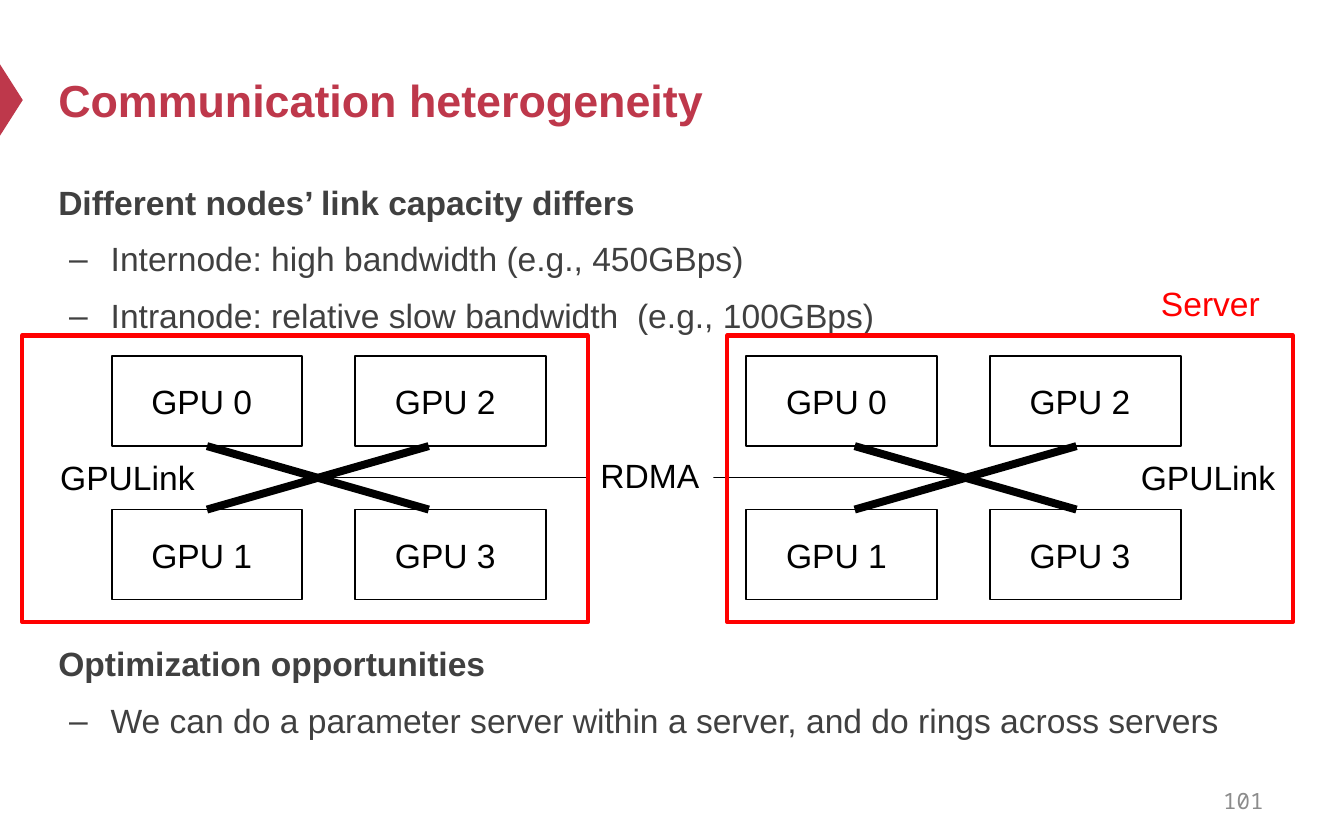
from lxml.etree import SubElement
from pptx import Presentation
from pptx.dml.color import RGBColor
from pptx.enum.shapes import MSO_CONNECTOR, MSO_SHAPE
from pptx.enum.text import MSO_ANCHOR, MSO_AUTO_SIZE, PP_ALIGN
from pptx.oxml.ns import qn
from pptx.util import Pt

RED = RGBColor(0xBE, 0x38, 0x4B)
FRAME_RED = RGBColor(0xFF, 0x00, 0x00)
DARK = RGBColor(0x40, 0x40, 0x40)
GRAY = RGBColor(0x8C, 0x8C, 0x8C)
BLACK = RGBColor(0x00, 0x00, 0x00)
WHITE = RGBColor(0xFF, 0xFF, 0xFF)

# Content
TITLE = "Communication heterogeneity"
BODY = [  # level, text, space before
    (0, "Different nodes’ link capacity differs", 0),
    (1, "Internode: high bandwidth (e.g., 450GBps)", 4.6),
    (1, "Intranode: relative slow bandwidth  (e.g., 100GBps)", 4.6),
    (0, "Optimization opportunities", 160.5),  # leaves room for the diagram
    (1, "We can do a parameter server within a server, and do rings across servers", 4.6),
]
GPUS = [["GPU 0", "GPU 2"], ["GPU 1", "GPU 3"]]
SERVERS = [  # left edges of each part
    {"frame": 11.8, "gpu": 59.8, "cross": 110.9},
    {"frame": 389.6, "gpu": 399.8, "cross": 457.9},
]
LABELS = [  # text, left, top, width, colour
    ("GPULink", 604.1, 241.4, 100, BLACK),
    ("GPULink", 25.2, 241.4, 100, BLACK),
    ("Server", 614.9, 147.9, 100, FRAME_RED),
]

# Diagram grid
GPU_W, GPU_H, GPU_TOP = 102.2, 48.2, 190.8
COL_STEP, ROW_STEP = 130.5, 82.2
CROSS_W = 118.8
FRAME_TOP, FRAME_W, FRAME_H = 179.8, 303.1, 153.4


def pts(*values):
    return [Pt(v) for v in values]


def set_font(font, color, size=18, **extra):
    font.color.rgb = color
    for key, value in {"name": "Arial", "size": Pt(size), **extra}.items():
        setattr(font, key, value)


def add_box(box, fill=None, line=None, width=1, shape=MSO_SHAPE.RECTANGLE):
    sp = s.shapes.add_shape(shape, *pts(*box))
    sp.shadow.inherit = False
    for fmt, color in ((sp.fill, fill), (sp.line.fill, line)):
        if color is None:
            fmt.background()
        else:
            fmt.solid()
            fmt.fore_color.rgb = color
    if line is not None:
        sp.line.width = Pt(width)
    return sp


def write(sp, text, color, align=PP_ALIGN.LEFT, anchor=MSO_ANCHOR.TOP, **font):
    tf = sp.text_frame
    tf.word_wrap = True
    tf.auto_size = MSO_AUTO_SIZE.NONE
    tf.vertical_anchor = anchor
    p = tf.paragraphs[0]
    p.alignment = align
    r = p.add_run()
    r.text = text
    set_font(r.font, color, **font)


def add_label(text, x, y, w, color, h=28.8, **fmt):
    write(s.shapes.add_textbox(*pts(x, y, w, h)), text, color, **fmt)


def add_line(x1, y1, x2, y2, width):
    ln = s.shapes.add_connector(MSO_CONNECTOR.STRAIGHT, *pts(x1, y1, x2, y2))
    ln.line.color.rgb = BLACK
    ln.line.width = Pt(width)
    SubElement(ln._element.spPr, qn("a:effectLst"))


def place(sp, x, y, w, h):
    sp.left, sp.top, sp.width, sp.height = pts(x, y, w, h)


prs = Presentation()
prs.slide_width, prs.slide_height = pts(720, 450)
s = prs.slides.add_slide(prs.slide_layouts[1])
title, body = s.placeholders

# Title and its marker
place(title, 24, 18, 648, 70.6)
write(title, TITLE, RED, anchor=MSO_ANCHOR.MIDDLE, size=24, bold=True)
marker = add_box((-13, 47.5, 38.2, 12.2), fill=RED, shape=MSO_SHAPE.ISOSCELES_TRIANGLE)
marker.rotation = 90

# Body list
place(body, 24, 89.3, 648, 342.7)
tf = body.text_frame
tf.auto_size = MSO_AUTO_SIZE.NONE
for i, (level, text, before) in enumerate(BODY):
    p = tf.paragraphs[0] if i == 0 else tf.add_paragraph()
    p.level = level
    pPr = p._p.get_or_add_pPr()
    pPr.set("marL", str(Pt(28.1 * level)))
    pPr.set("indent", str(Pt(-22.3 * level)))
    if level:
        SubElement(pPr, qn("a:buChar"), char="–")
    else:
        SubElement(pPr, qn("a:buNone"))
    p.line_spacing = 1.2
    p.space_before = Pt(before)
    r = p.add_run()
    r.text = text
    set_font(r.font, DARK, bold=level == 0)

# Slide number
add_label("101", 516.2, 416.9, 167.8, GRAY, h=23.8, align=PP_ALIGN.RIGHT,
          anchor=MSO_ANCHOR.MIDDLE, size=12, name="Noto Sans Mono")

# GPUs and the crossed links inside each server
for server in SERVERS:
    for row, names in enumerate(GPUS):
        for col, name in enumerate(names):
            x = server["gpu"] + col * COL_STEP
            y = GPU_TOP + row * ROW_STEP
            add_box((x, y, GPU_W, GPU_H), line=BLACK)
            add_label(name, x + 14.2, y + 10, 73.4, BLACK)
    x, top, bottom = server["cross"], GPU_TOP + GPU_H, GPU_TOP + ROW_STEP
    add_line(x, top, x + CROSS_W, bottom, 4.25)
    add_line(x, bottom, x + CROSS_W, top, 4.25)

# Link between the servers
add_line(170.6, 255.8, 513.4, 255.8, 0.5)
for label in LABELS:
    add_label(*label)
write(add_box((314.6, 240, 67.7, 28.8), fill=WHITE), "RDMA", BLACK)

# Server frames
for server in SERVERS:
    add_box((server["frame"], FRAME_TOP, FRAME_W, FRAME_H), line=FRAME_RED, width=2.25)

prs.save("out.pptx")
